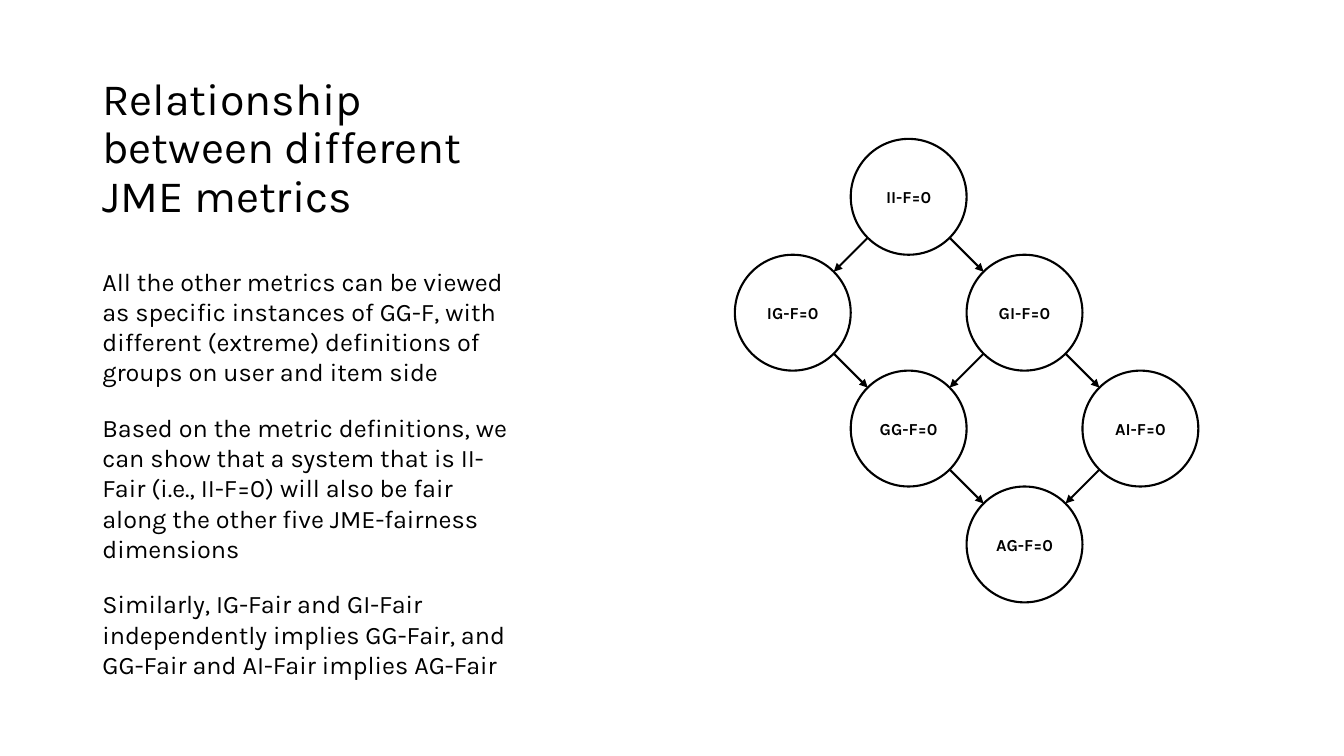
import math

import pptx
import pptx.dml.color
import pptx.enum.shapes
import pptx.enum.text
import pptx.oxml
import pptx.oxml.ns
import pptx.util
from pptx.util import Cm

FONT = "Karla"
BLACK = "000000"
WHITE = "FFFFFF"

TEXT_LEFT = 2.33
TEXT_WIDTH = 10.92
GRID_LEFT = 18.52
GRID_TOP = 3.5
DIAMETER = 2.92  # circles touch the corners of a square grid of this pitch

TITLE = "Relationship between different JME metrics"
EXPLANATIONS = [
    "All the other metrics can be viewed as specific instances of GG-F, with "
    "different (extreme) definitions of groups on user and item side",
    "Based on the metric definitions, we can show that a system that is II-Fair "
    "(i.e., II-F=0) will also be fair along the other five JME-fairness dimensions",
    "Similarly, IG-Fair and GI-Fair independently implies GG-Fair, and GG-Fair "
    "and AI-Fair implies AG-Fair",
]

# Metric: (column, row) in the grid
METRICS = {
    "II": (1, 0),
    "IG": (0, 1),
    "GI": (2, 1),
    "GG": (1, 2),
    "AI": (3, 2),
    "AG": (2, 3),
}
IMPLICATIONS = [
    ("II", "IG"), ("II", "GI"), ("IG", "GG"), ("GI", "GG"),
    ("GI", "AI"), ("GG", "AG"), ("AI", "AG"),
]


def color(hex_string):
    return pptx.dml.color.RGBColor.from_string(hex_string)


def write_paragraph(paragraph, text, size, bold=False, align=None,
                    line_spacing=None, space_before=0):
    paragraph.alignment = align
    paragraph.line_spacing = line_spacing
    paragraph.space_before = pptx.util.Pt(space_before)
    run = paragraph.add_run()
    run.text = text
    run.font.name = FONT
    run.font.size = pptx.util.Pt(size)
    run.font.bold = bold
    run.font.color.rgb = color(BLACK)


def add_text_box(slide, texts, top, height, size, anchor, paragraph_gap=0,
                 line_spacing=None):
    shape = slide.shapes.add_textbox(
        Cm(TEXT_LEFT), Cm(top), Cm(TEXT_WIDTH), Cm(height))
    frame = shape.text_frame
    frame.word_wrap = True
    frame.vertical_anchor = anchor
    for index, text in enumerate(texts):
        paragraph = frame.add_paragraph() if index else frame.paragraphs[0]
        write_paragraph(paragraph, text, size, line_spacing=line_spacing,
                        space_before=paragraph_gap if index else 0)


def add_metric(slide, metric):
    column, row = METRICS[metric]
    shape = slide.shapes.add_shape(
        pptx.enum.shapes.MSO_SHAPE.OVAL,
        Cm(GRID_LEFT + column * DIAMETER), Cm(GRID_TOP + row * DIAMETER),
        Cm(DIAMETER), Cm(DIAMETER))
    shape.shadow.inherit = False
    shape.fill.solid()
    shape.fill.fore_color.rgb = color(WHITE)
    shape.line.color.rgb = color(BLACK)
    shape.line.width = pptx.util.Pt(1.5)
    frame = shape.text_frame
    frame.word_wrap = False
    frame.vertical_anchor = pptx.enum.text.MSO_ANCHOR.MIDDLE
    write_paragraph(frame.paragraphs[0], f"{metric}-F=0", 12, bold=True,
                    align=pptx.enum.text.PP_ALIGN.CENTER)


def add_implication(slide, source, target):
    """Draw an arrow between the rims of two diagonally adjacent circles."""
    source_column, source_row = METRICS[source]
    target_column, target_row = METRICS[target]
    direction = target_column - source_column
    rim = math.sqrt(0.5) / 2  # rim offset along each axis, in diameters
    start_x = GRID_LEFT + (source_column + 0.5 + direction * rim) * DIAMETER
    start_y = GRID_TOP + (source_row + 0.5 + rim) * DIAMETER
    end_x = GRID_LEFT + (target_column + 0.5 - direction * rim) * DIAMETER
    end_y = GRID_TOP + (target_row + 0.5 - rim) * DIAMETER
    connector = slide.shapes.add_connector(
        pptx.enum.shapes.MSO_CONNECTOR.STRAIGHT,
        Cm(start_x), Cm(start_y), Cm(end_x), Cm(end_y))
    connector.line.color.rgb = color(BLACK)
    connector.line.width = pptx.util.Pt(1.5)
    arrowhead = pptx.oxml.parse_xml(
        f'<a:tailEnd {pptx.oxml.ns.nsdecls("a")} type="triangle"/>')
    connector.line._get_or_add_ln().append(arrowhead)
    no_effects = pptx.oxml.parse_xml(
        f'<a:effectLst {pptx.oxml.ns.nsdecls("a")}/>')
    connector._element.spPr.append(no_effects)


def main():
    presentation = pptx.Presentation()
    presentation.slide_width = Cm(33.87)
    presentation.slide_height = Cm(19.05)
    slide = presentation.slides.add_slide(presentation.slide_layouts[6])

    add_text_box(slide, [TITLE], 1.27, 4.45, 32,
                 pptx.enum.text.MSO_ANCHOR.BOTTOM, line_spacing=0.9)
    add_text_box(slide, EXPLANATIONS, 6.58, 11.2, 18,
                 pptx.enum.text.MSO_ANCHOR.TOP, paragraph_gap=18)
    for metric in METRICS:
        add_metric(slide, metric)
    for source, target in IMPLICATIONS:
        add_implication(slide, source, target)

    presentation.save("out.pptx")


if __name__ == "__main__":
    main()
